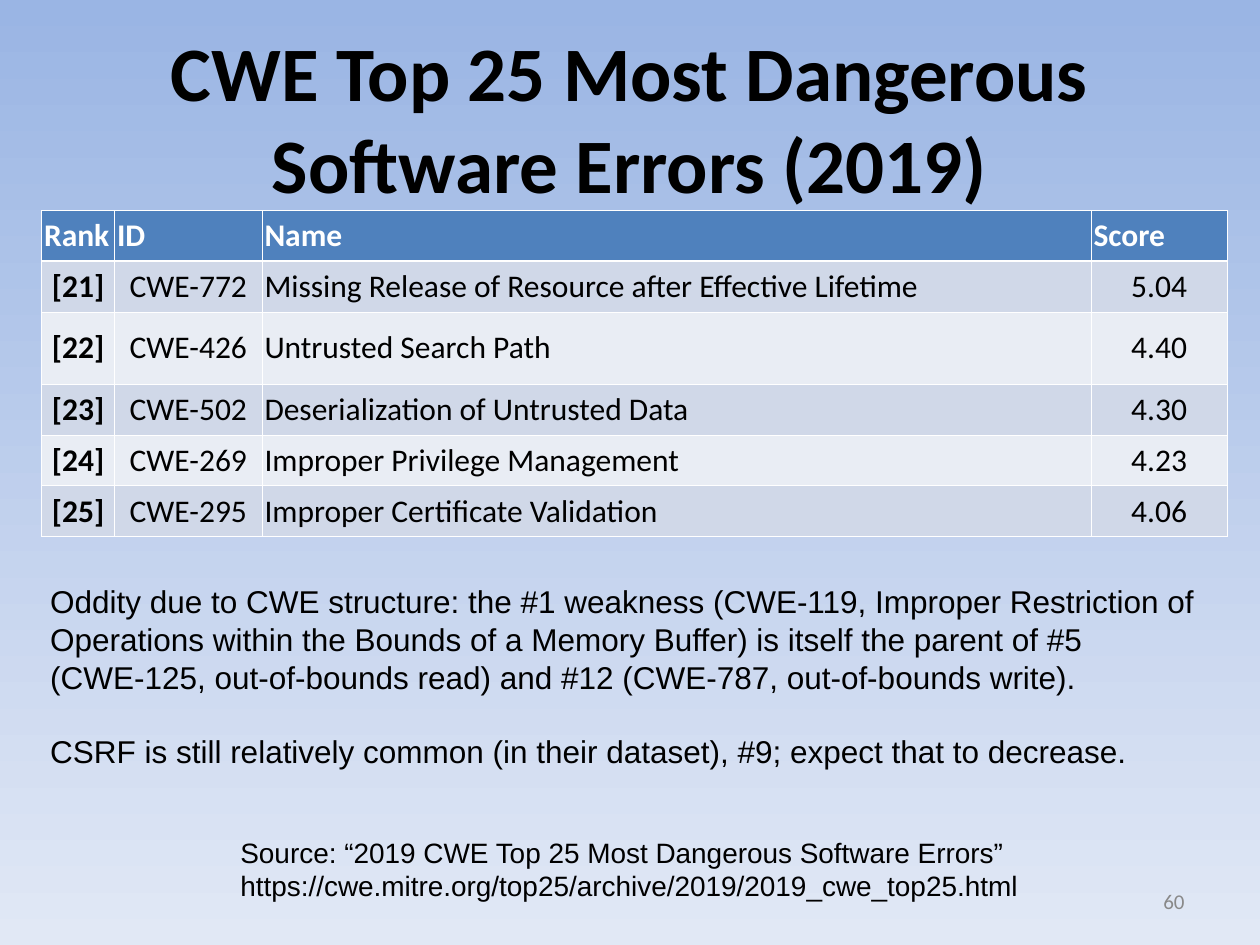
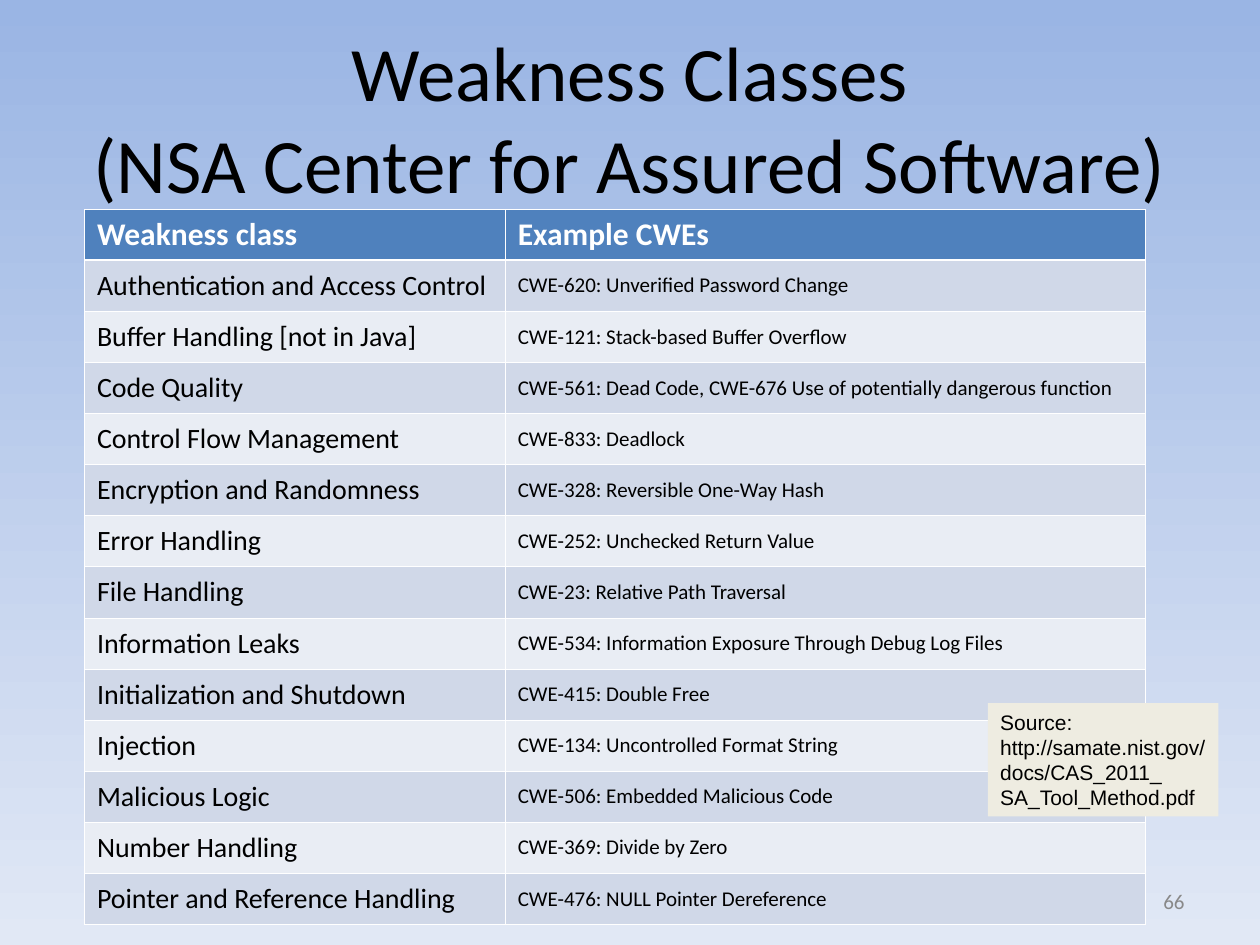
from lxml import etree
from pptx import Presentation
from pptx import util as u
from pptx.dml import color
from pptx.enum import shapes, text
from pptx.oxml import ns

HEADING_FONT, NOTE_FONT = "Calibri", "Arial"
BLACK, WHITE, GREY = "000000", "FFFFFF", "898989"
SKY_TOP, SKY_BOTTOM = "9AB5E4", "E1E8F5"
HEADER_FILL, BAND_FILLS = "4F81BD", ("D0D8E8", "E9EDF4")
NOTE_FILL = "EEECE1"
THIN, THICK = 0.45, 1.47
TITLE_BOX = (0.5, 0.3, 9, 1.25)
NUMBER_BOX = (7.17, 6.95, 2.33, 0.4)
LEFT, CENTER, RIGHT = text.PP_ALIGN.LEFT, text.PP_ALIGN.CENTER, text.PP_ALIGN.RIGHT
TOP, MIDDLE = text.MSO_ANCHOR.TOP, text.MSO_ANCHOR.MIDDLE

ERROR_ROWS = [
    ("Rank", "ID", "Name", "Score"),
    ("[21]", "CWE-772", "Missing Release of Resource after Effective Lifetime", "5.04"),
    ("[22]", "CWE-426", "Untrusted Search Path", "4.40"),
    ("[23]", "CWE-502", "Deserialization of Untrusted Data", "4.30"),
    ("[24]", "CWE-269", "Improper Privilege Management", "4.23"),
    ("[25]", "CWE-295", "Improper Certificate Validation", "4.06"),
]
ODDITY = (
    "Oddity due to CWE structure: the #1 weakness (CWE-119, Improper Restriction of "
    "Operations within the Bounds of a Memory Buffer) is itself the parent of #5 "
    "(CWE-125, out-of-bounds read) and #12 (CWE-787, out-of-bounds write).",
    "CSRF is still relatively common (in their dataset), #9; expect that to decrease.",
)
ERROR_SOURCE = (
    "Source: “2019 CWE Top 25 Most Dangerous Software Errors”",
    "https://cwe.mitre.org/top25/archive/2019/2019_cwe_top25.html",
)
CLASS_ROWS = [
    ("Weakness class", "Example CWEs"),
    ("Authentication and Access Control", "CWE-620: Unverified Password Change"),
    ("Buffer Handling [not in Java]", "CWE-121: Stack-based Buffer Overflow"),
    ("Code Quality", "CWE-561: Dead Code, CWE-676 Use of potentially dangerous function"),
    ("Control Flow Management", "CWE-833: Deadlock"),
    ("Encryption and Randomness", "CWE-328: Reversible One-Way Hash"),
    ("Error Handling", "CWE-252: Unchecked Return Value"),
    ("File Handling", "CWE-23: Relative Path Traversal"),
    ("Information Leaks", "CWE-534: Information Exposure Through Debug Log Files"),
    ("Initialization and Shutdown", "CWE-415: Double Free"),
    ("Injection", "CWE-134: Uncontrolled Format String"),
    ("Malicious Logic", "CWE-506: Embedded Malicious Code"),
    ("Number Handling", "CWE-369: Divide by Zero"),
    ("Pointer and Reference Handling", "CWE-476: NULL Pointer Dereference"),
]
CLASS_SOURCE = ("Source:", "http://samate.nist.gov/", "docs/CAS_2011_", "SA_Tool_Method.pdf")


def rgb(value):
    """Turn a hex string into a colour."""
    return color.RGBColor.from_string(value)


def inches(box):
    """Turn a box of numbers into lengths."""
    return [u.Inches(length) for length in box]


def write(frame, lines, size, font, ink=BLACK, bold=False, align=LEFT, gap=0):
    """Fill a text frame with one paragraph per line, with line breaks at newlines."""
    for index, line in enumerate(lines):
        paragraph = frame.add_paragraph() if index else frame.paragraphs[0]
        paragraph.alignment = align
        if index and gap:
            paragraph.space_before = u.Pt(gap)
        for part_index, part in enumerate(line.split("\n")):
            if part_index:
                paragraph.add_line_break()
            run = paragraph.add_run()
            run.text = part
            run.font.size, run.font.name, run.font.bold = u.Pt(size), font, bold
            run.font.color.rgb = rgb(ink)


def add_text(slide, box, lines, size, font, anchor=TOP, wrap=True, inset=True, **style):
    """Place a text box."""
    frame = slide.shapes.add_textbox(*inches(box)).text_frame
    frame.word_wrap, frame.vertical_anchor = wrap, anchor
    if not inset:
        frame.margin_left = frame.margin_right = frame.margin_top = frame.margin_bottom = 0
    write(frame, lines, size, font, **style)


def add_base(deck, title, number, bold=False):
    """Add a slide with the shared background, title and slide number."""
    slide = deck.slides.add_slide(deck.slide_layouts[6])
    sky = slide.background.fill
    sky.gradient()
    sky.gradient_angle = 270
    for stop, shade in zip(sky.gradient_stops, (SKY_TOP, SKY_BOTTOM)):
        stop.color.rgb = rgb(shade)
    add_text(slide, TITLE_BOX, [title], 44, HEADING_FONT, MIDDLE, inset=False,
             bold=bold, align=CENTER)
    return slide, lambda: add_text(slide, NUMBER_BOX, [number], 12, HEADING_FONT, MIDDLE,
                                   ink=GREY, align=RIGHT)


def add_borders(cell, row):
    """Draw white cell borders, thicker between header and body."""
    widths = {"L": THIN, "R": THIN, "T": THICK if row == 1 else THIN,
              "B": THICK if row == 0 else THIN}
    properties = cell._tc.get_or_add_tcPr()
    for side, width in widths.items():
        line = etree.SubElement(properties, ns.qn(f"a:ln{side}"), w=str(u.Pt(width)))
        fill = etree.SubElement(line, ns.qn("a:solidFill"))
        etree.SubElement(fill, ns.qn("a:srgbClr"), val=WHITE)


def add_grid(slide, box, rows, widths, sizes, aligns, header_anchor, side_inset,
             bold_first=False, tall=None):
    """Add a banded table; tall maps row numbers to heights, the rest share equally."""
    tall = tall or {}
    grid = slide.shapes.add_table(len(rows), len(widths), *inches(box)).table
    for column, width in zip(grid.columns, widths):
        column.width = u.Inches(width)
    shared = (box[3] - sum(tall.values())) / (len(rows) - len(tall))
    for r, entries in enumerate(rows):
        header = r == 0
        grid.rows[r].height = u.Inches(tall.get(r, shared))
        for c, entry in enumerate(entries):
            cell = grid.cell(r, c)
            add_borders(cell, r)
            cell.fill.solid()
            cell.fill.fore_color.rgb = rgb(HEADER_FILL if header else BAND_FILLS[(r - 1) % 2])
            cell.vertical_anchor = header_anchor if header else MIDDLE
            cell.margin_left = cell.margin_right = u.Inches(side_inset)
            write(cell.text_frame, [entry], 18 if header else sizes[c], HEADING_FONT,
                  ink=WHITE if header else BLACK,
                  bold=header or (bold_first and c == 0),
                  align=LEFT if header else aligns[c])


def add_source_note(slide, box, lines):
    """Add the filled source note."""
    note = slide.shapes.add_shape(shapes.MSO_SHAPE.RECTANGLE, *inches(box))
    note.shadow.inherit = False
    note.fill.solid()
    note.fill.fore_color.rgb = rgb(NOTE_FILL)
    note.line.fill.background()
    note.text_frame.word_wrap = False
    note.text_frame.vertical_anchor = TOP
    write(note.text_frame, lines, 12, NOTE_FONT)


def build_errors(deck):
    """Build the ranked software errors slide."""
    slide, add_number = add_base(
        deck, "CWE Top 25 Most Dangerous Software Errors (2019)", "60", bold=True)
    add_number()
    add_grid(slide, (0.33, 1.67, 9.42, 2.59), ERROR_ROWS, (0.58, 1.17, 6.58, 1.08),
             (18,) * 4, (CENTER, CENTER, LEFT, CENTER), MIDDLE, 0.02,
             bold_first=True, tall={2: 0.57})
    add_text(slide, (1.81, 6.58, 6.37, 0.64), ERROR_SOURCE, 16, NOTE_FONT, wrap=False)
    add_text(slide, (0.3, 4.57, 9.42, 1.6), ODDITY, 18, NOTE_FONT, gap=21)


def build_classes(deck):
    """Build the weakness classes slide."""
    slide, add_number = add_base(
        deck, "Weakness Classes\n(NSA Center for Assured Software)", "66")
    add_grid(slide, (0.67, 1.66, 8.42, 5.68), CLASS_ROWS, (3.34, 5.08),
             (16, 12), (LEFT, LEFT), TOP, 0.1)
    add_number()
    add_source_note(slide, (7.84, 5.58, 1.83, 0.9), CLASS_SOURCE)


def main():
    """Build and save the deck."""
    deck = Presentation()
    deck.slide_width, deck.slide_height = u.Inches(10), u.Inches(7.5)
    build_errors(deck)
    build_classes(deck)
    deck.save("out.pptx")


if __name__ == "__main__":
    main()
